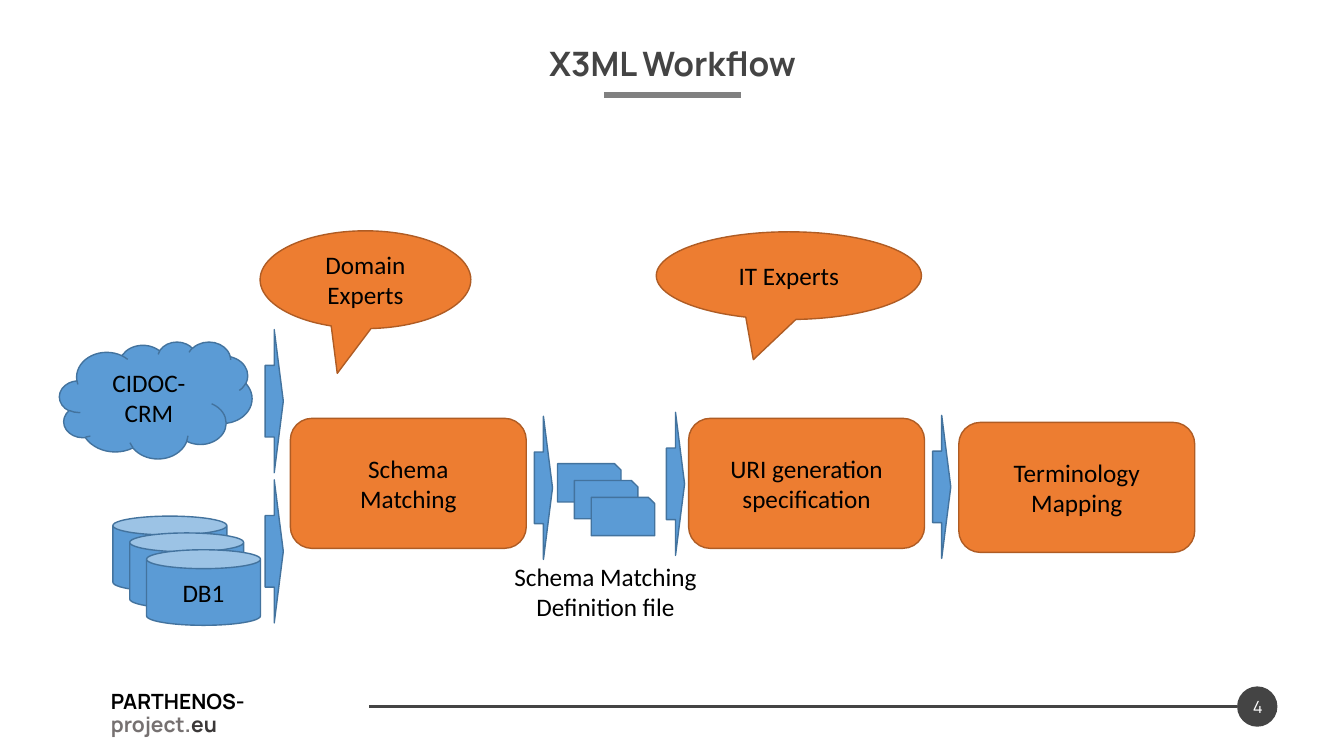
from dataclasses import dataclass

from lxml import etree
from pptx import Presentation
from pptx import util as u
from pptx.dml.color import RGBColor
from pptx.enum import shapes, text
from pptx.oxml.ns import qn

KIND = shapes.MSO_SHAPE
CENTER = text.PP_ALIGN.CENTER
LEFT = text.PP_ALIGN.LEFT


@dataclass(frozen=True)
class Theme:
    orange: tuple = ("ED7D31", "AF5C24")
    blue: tuple = ("5B9BD5", "43739E")
    dark: str = "444444"
    gray: str = "808080"
    black: str = "000000"
    white: str = "FFFFFF"
    site_gray: str = "767171"
    site_dark: str = "3B3838"
    body_font: str = "Calibri"
    head_font: str = "Manrope"
    title_size: float = 24
    body_size: float = 18
    site_size: float = 15
    number_size: float = 12


class Board:
    """Draws on one slide; lengths are cells of a grid with 10 cells to the inch."""

    def __init__(self, slide, theme):
        self.shapes = slide.shapes
        self.theme = theme

    def cells(self, *counts):
        return [u.Inches(count / 10) for count in counts]

    def add_wording(self, box, paragraphs, size=None, font=None, color=None, bold=False,
                    align=CENTER, spacing=None):
        """Each paragraph is a list of (wording, colour) runs or one plain string."""
        frame = box.text_frame
        for index, runs in enumerate(paragraphs):
            para = frame.add_paragraph() if index else frame.paragraphs[0]
            para.alignment = align
            if spacing:
                para.line_spacing = spacing
            if isinstance(runs, str):
                runs = [(runs, color or self.theme.black)]
            for wording, run_color in runs:
                span = para.add_run()
                span.text = wording
                span.font.name = font or self.theme.body_font
                span.font.size = u.Pt(size or self.theme.body_size)
                span.font.bold = bold
                span.font.color.rgb = RGBColor.from_string(run_color)

    def shape(self, kind, area, colors, *paragraphs, tip=None, **style):
        fill, outline = colors
        shape = self.shapes.add_shape(kind, *self.cells(*area))
        shape.shadow.inherit = False
        shape.fill.solid()
        shape.fill.fore_color.rgb = RGBColor.from_string(fill)
        if outline:
            shape.line.color.rgb = RGBColor.from_string(outline)
            shape.line.width = u.Pt(1)
        else:
            shape.line.fill.background()
        if tip:
            shape.adjustments[0], shape.adjustments[1] = tip
        shape.text_frame.word_wrap = True
        shape.text_frame.vertical_anchor = text.MSO_ANCHOR.MIDDLE
        self.add_wording(shape, paragraphs, **style)

    def stack(self, kind, area, step, count, colors, front=()):
        """Overlaps equal shapes diagonally, with wording on the front one."""
        left, top, width, height = area
        for index in range(count):
            wording = front if index == count - 1 else ()
            shift = index * step
            self.shape(kind, (left + shift, top + shift, width, height), colors, *wording)

    def text(self, area, *paragraphs, wrap=True, insets=None, **style):
        box = self.shapes.add_textbox(*self.cells(*area))
        frame = box.text_frame
        frame.word_wrap = wrap
        if insets is not None:
            frame.margin_left = frame.margin_right = u.Inches(insets / 10)
            frame.margin_top = frame.margin_bottom = 0
        self.add_wording(box, paragraphs, **style)

    def line(self, start, end, row, color, width):
        line = self.shapes.add_connector(
            shapes.MSO_CONNECTOR.STRAIGHT, *self.cells(start, row, end, row))
        line.line.color.rgb = RGBColor.from_string(color)
        line.line.width = u.Pt(width)
        etree.SubElement(line._element.spPr, qn("a:effectLst"))


def draw_frame(board):
    theme = board.theme
    board.line(122.7, 36.6, 70.1, theme.dark, 2)
    board.shape(KIND.OVAL, (122.7, 68.1, 4, 4), (theme.dark, None), "4",
                size=theme.number_size, font=theme.head_font, color=theme.white)
    board.line(59.9, 73.5, 9.4, theme.gray, 4.5)
    board.text((11, 68.6, 22, 2.5),
               [("PARTHENOS-", theme.black), ("project.", theme.site_gray),
                ("eu", theme.site_dark)],
               insets=0, size=theme.site_size, font=theme.head_font, bold=True,
               align=LEFT, spacing=0.9)
    board.text((6.7, 4.7, 120, 4.2), "X3ML Workflow", insets=3, size=theme.title_size,
               font=theme.head_font, color=theme.dark, bold=True, spacing=0.9)


def draw_workflow(board):
    blue, orange = board.theme.blue, board.theme.orange
    steps = [
        (28.8, 41.5, ["Schema", "Matching"]),
        (68.3, 41.5, ["URI generation specification"]),
        (95.1, 41.9, ["Terminology Mapping"]),
    ]
    for left, top, wording in steps:
        board.shape(KIND.ROUNDED_RECTANGLE, (left, top, 23.4, 12.9), orange, *wording)

    experts = [
        ((25.8, 22.9, 20.9, 9.7), "Domain Experts"),
        ((65.1, 23, 26.3, 8.7), "IT Experts"),
    ]
    for area, wording in experts:
        board.shape(KIND.OVAL_CALLOUT, area, orange, wording, tip=(-0.134, 0.958))

    board.shape(KIND.CLOUD, (5.9, 33.9, 19.1, 11.6), blue, "CIDOC-CRM")
    board.stack(KIND.CAN, (11.2, 51.2, 11.3, 7.5), 1.67, 3, blue, front=["DB1"])
    board.stack(KIND.SNIP_1_RECTANGLE, (55.3, 46, 6.3, 3.8), 1.67, 3, blue)
    board.text((49.9, 55.2, 20.3, 7.1), "Schema Matching", "Definition file", wrap=False)

    arrows = [(26.3, 32.7), (26.3, 47.6), (53, 41.3), (66.1, 40.9), (92.5, 41.2)]
    for left, top in arrows:
        board.shape(KIND.RIGHT_ARROW, (left, top, 1.8, 14.2), blue)


def main():
    deck = Presentation()
    deck.slide_width, deck.slide_height = u.Inches(13.33), u.Inches(7.5)
    page = deck.slides.add_slide(deck.slide_layouts[6])
    board = Board(page, Theme())
    draw_frame(board)
    draw_workflow(board)
    deck.save("out.pptx")


if __name__ == "__main__":
    main()
